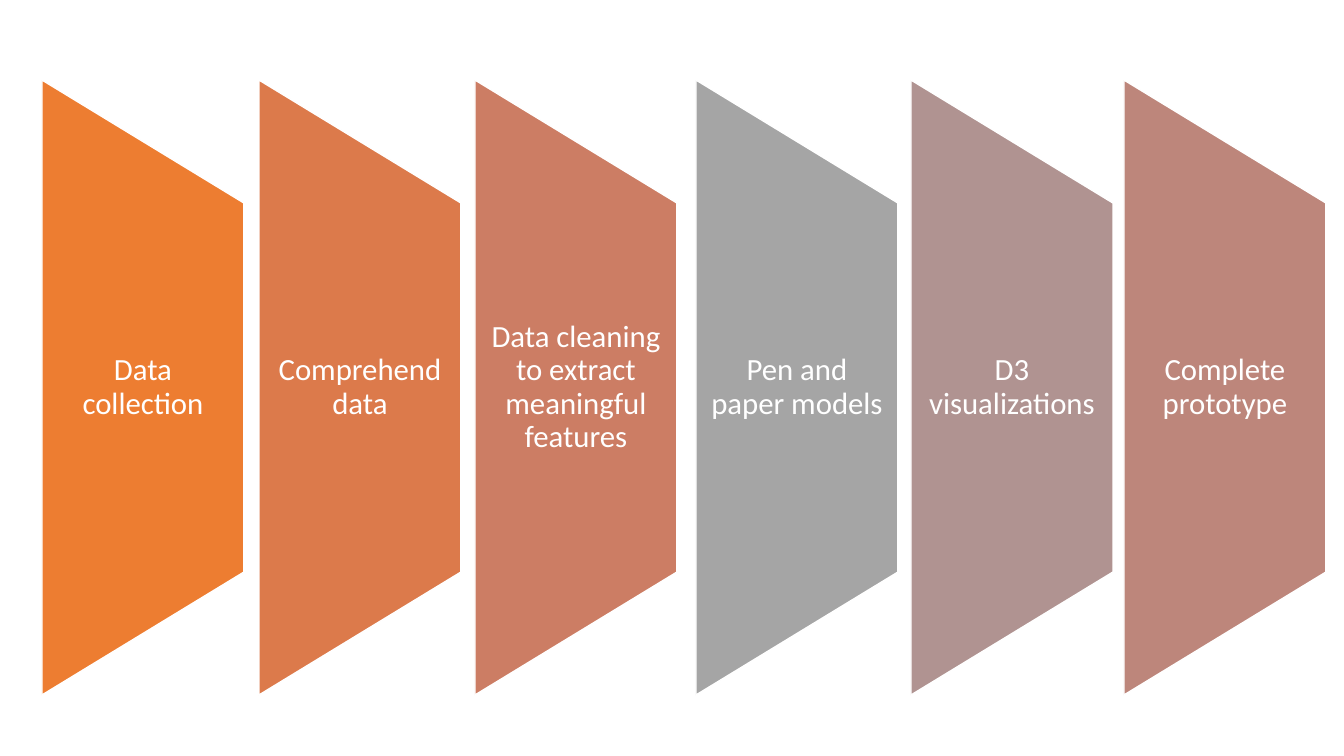
from pptx import Presentation
from pptx.dml.color import RGBColor
from pptx.enum.shapes import MSO_SHAPE as Shape
from pptx.enum.text import MSO_ANCHOR as Anchor, PP_ALIGN as Align
from pptx.util import Pt

EMU_PER_PX = 914400 / 100.8
STAGE_TOP, STAGE_WIDTH, STAGE_HEIGHT = 80, 202, 615
LABEL_HEIGHT, LABEL_INSET = 369, 15
STAGES = [
    (42, "ED7D31", "Data collection"),
    (259, "DC7A4B", "Comprehend data"),
    (475, "CC7D64", "Data cleaning to extract meaningful features"),
    (696, "A5A5A5", "Pen and paper models"),
    (911, "B09391", "D3 visualizations"),
    (1124, "BD867B", "Complete prototype"),
]


def px(length):
    """Turn pixels into EMU."""
    return round(length * EMU_PER_PX)


def colour(hex_code):
    """Turn a hex string into a colour."""
    return RGBColor.from_string(hex_code)


def add_panel(slide, left, top, width, height, fill):
    """Draw a trapezoid, turned to point right, that fills the given box."""
    turn = (height - width) / 2
    panel = slide.shapes.add_shape(
        Shape.FLOWCHART_MANUAL_OPERATION,
        px(left - turn), px(top + turn), px(height), px(width))
    panel.rotation = 270
    panel.shadow.inherit = False
    panel.fill.solid()
    panel.fill.fore_color.rgb = colour(fill)
    panel.line.color.rgb = colour("FFFFFF")
    panel.line.width = Pt(1)


def add_label(slide, left, top, width, height, wording):
    """Centre the wording of a stage in the given box."""
    label = slide.shapes.add_textbox(px(left), px(top), px(width), px(height))
    frame = label.text_frame
    frame.word_wrap = True
    frame.vertical_anchor = Anchor.MIDDLE
    frame.margin_left = frame.margin_right = px(LABEL_INSET)
    frame.margin_top = frame.margin_bottom = 0
    frame.text = wording
    paragraph = frame.paragraphs[0]
    paragraph.alignment = Align.CENTER
    paragraph.line_spacing = 0.9
    font = paragraph.runs[0].font
    font.name = "Calibri"
    font.size = Pt(22)
    font.color.rgb = colour("FFFFFF")


def add_stage(slide, left, top, width, height, fill, wording):
    """Place one stage of the process: its panel and its label."""
    add_panel(slide, left, top, width, height, fill)
    label_top = top + (height - LABEL_HEIGHT) / 2
    add_label(slide, left, label_top, width, LABEL_HEIGHT, wording)


def main():
    """Build the process slide and save it."""
    deck = Presentation()
    deck.slide_width, deck.slide_height = px(1344), px(756)
    slide = deck.slides.add_slide(deck.slide_layouts[6])
    for left, fill, wording in STAGES:
        add_stage(slide, left, STAGE_TOP, STAGE_WIDTH, STAGE_HEIGHT, fill, wording)
    deck.save("out.pptx")


if __name__ == "__main__":
    main()
